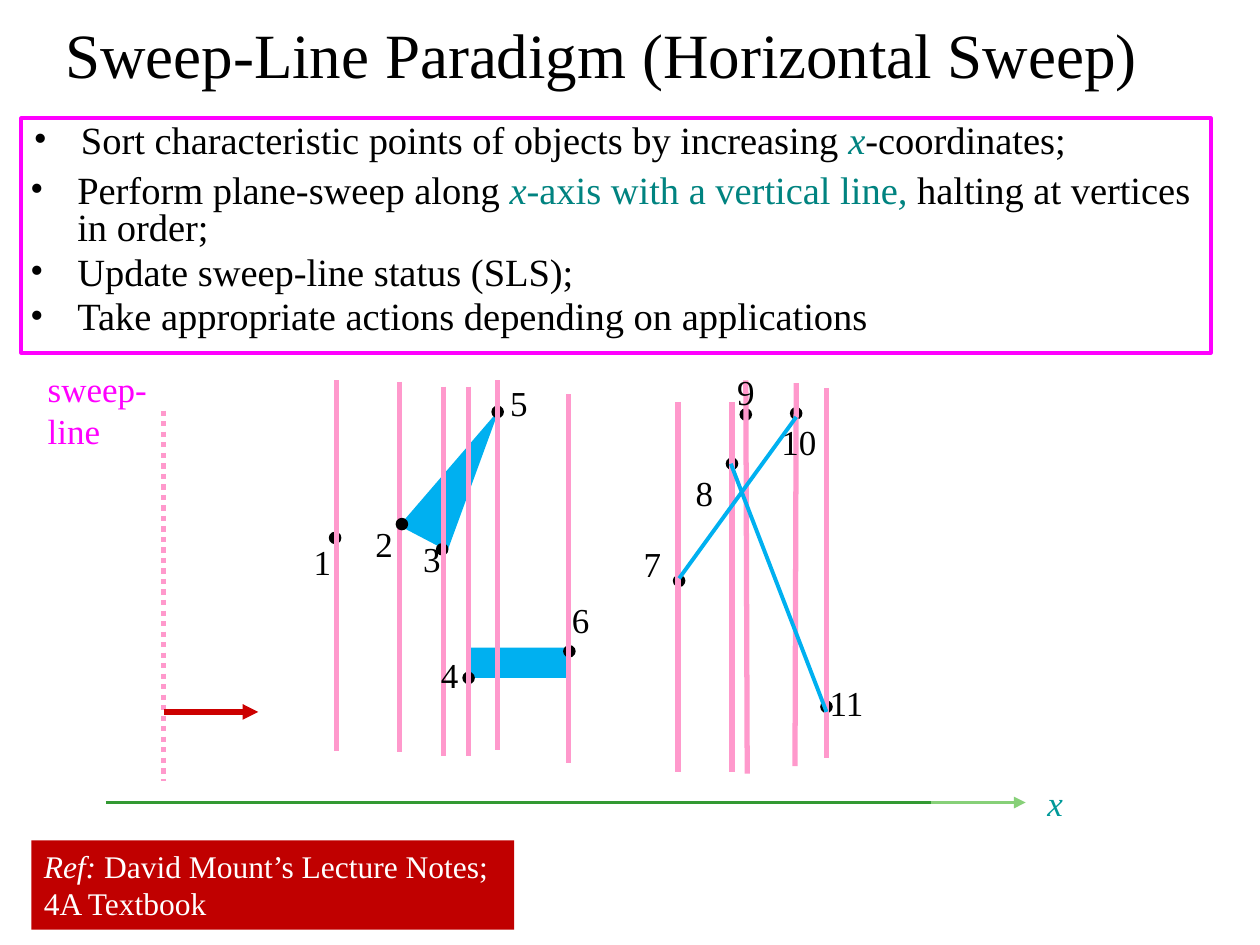
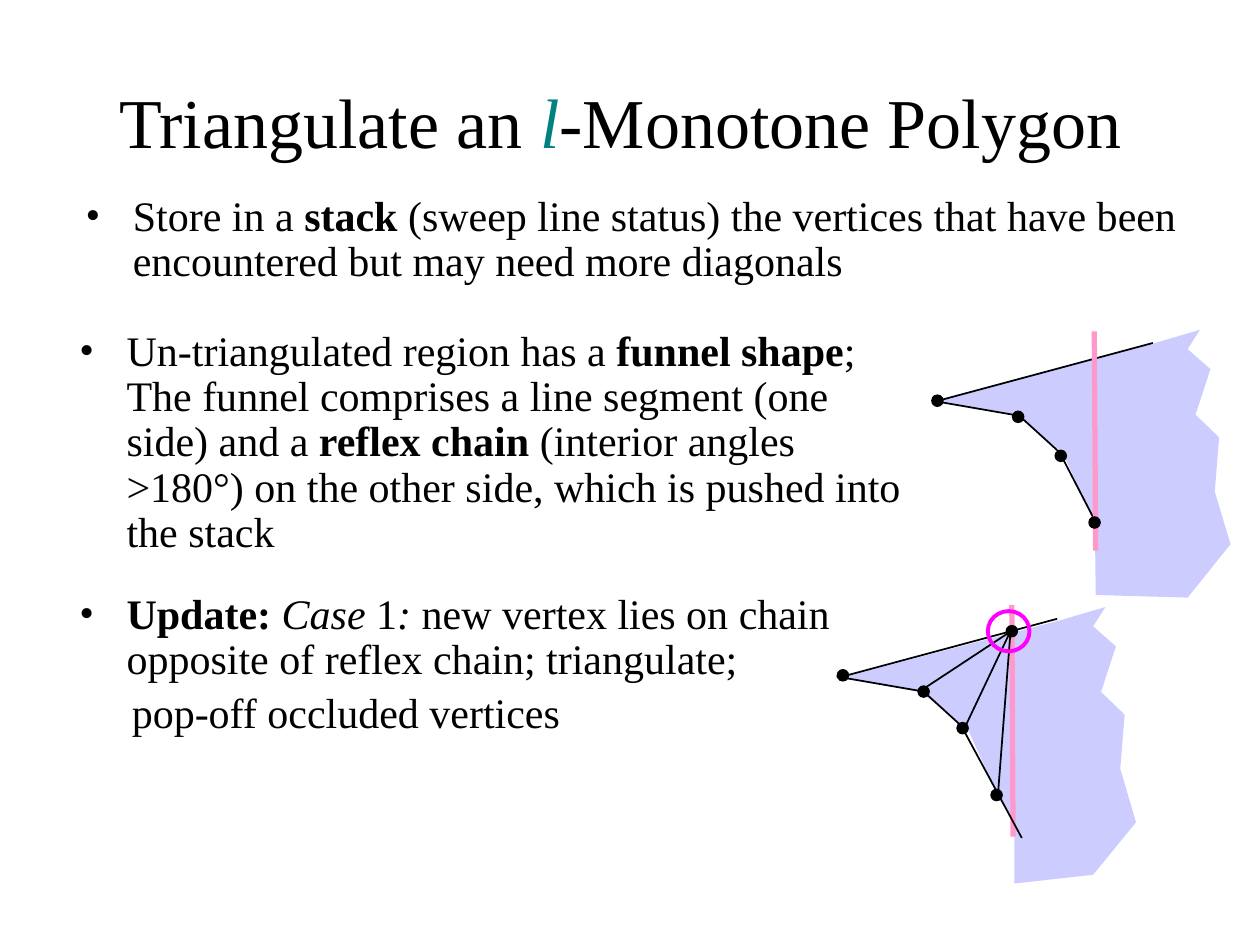
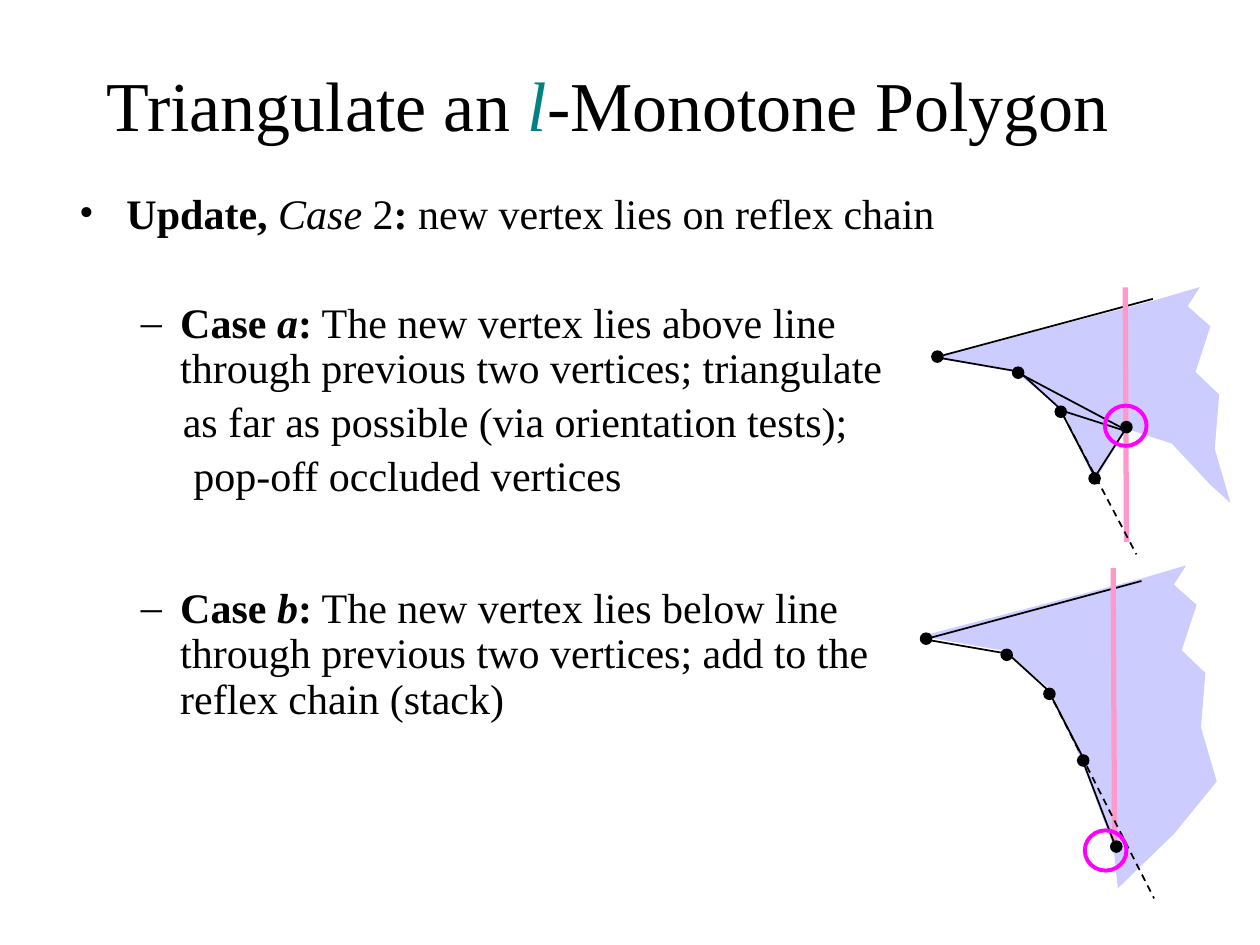
from itertools import pairwise

from lxml.etree import SubElement
from pptx import Presentation
from pptx.dml.color import RGBColor
from pptx.enum.dml import MSO_LINE
from pptx.enum.shapes import MSO_CONNECTOR, MSO_SHAPE
from pptx.enum.text import MSO_ANCHOR, PP_ALIGN
from pptx.oxml.ns import qn
from pptx.util import Pt

FONT = "Times New Roman"
BLACK = "000000"
WHITE = "FFFFFF"
TEAL = "008380"
MAGENTA = "FF00FF"
PINK = "FF99CC"
SKY = "00B0F0"
LAVENDER = "CCCCFF"
DOT = 7.2
SYMBOL = {"italic": True, "color": TEAL}
BOLD = {"bold": True}
ITALIC = {"italic": True}
MONOTONE_TITLE = ["Triangulate an ", ("l", SYMBOL), "-Monotone Polygon"]

CHAIN = [(0, 0), (49.7, 8.6), (72.7, 29.5), (94.3, 71.3)]
VERTICES = [(-0.7, -3.6), (45.4, 5.6), (69.8, 27.9), (89.1, 66)]
LID = [(0.7, 0.7), (126, -33)]
BODY_LEFT = [(0, 0), (46, 8), (73, 29.5), (91.5, 70.5)]
BODY_RIGHT = [(160, 52), (162.5, 21), (149, 8), (157.5, -18),
              (144.5, -29.5), (151.5, -40.5), (126, -33)]


def rgb(color):
    return RGBColor.from_string(color)


def write(paragraph, text, size=24, color=BLACK, bold=False, italic=False):
    run = paragraph.add_run()
    run.text = text
    run.font.name = FONT
    run.font.size = Pt(size)
    run.font.bold = bold
    run.font.italic = italic
    run.font.color.rgb = rgb(color)


def set_indent(paragraph, margin, hanging=0, bullet=None):
    properties = paragraph._p.get_or_add_pPr()
    properties.set("marL", str(Pt(margin)))
    properties.set("indent", str(-Pt(hanging)))
    if bullet:
        bullet_color = SubElement(properties, qn("a:buClr"))
        SubElement(bullet_color, qn("a:srgbClr")).set("val", BLACK)
        SubElement(properties, qn("a:buFont")).set("typeface", FONT)
        SubElement(properties, qn("a:buChar")).set("char", bullet)


def moved(points, origin):
    return [(origin[0] + x, origin[1] + y) for x, y in points]


POINT = {"margin": 27, "hanging": 27, "bullet": "•"}
CASE = {"margin": 58.5, "hanging": 22.5, "bullet": "–"}


class Deck:
    def __init__(self):
        self.presentation = Presentation()
        self.presentation.slide_width = Pt(720)
        self.presentation.slide_height = Pt(540)
        self.shapes = None

    def slide(self):
        layout = self.presentation.slide_layouts[6]
        self.shapes = self.presentation.slides.add_slide(layout).shapes

    def paint(self, shape, fill=None, line=None, weight=2.25):
        shape.shadow.inherit = False
        if fill:
            shape.fill.solid()
            shape.fill.fore_color.rgb = rgb(fill)
        else:
            shape.fill.background()
        if line:
            shape.line.color.rgb = rgb(line)
            shape.line.width = Pt(weight)
        else:
            shape.line.fill.background()
        return shape

    def shape(self, kind, box, **style):
        return self.paint(self.shapes.add_shape(kind, *map(Pt, box)), **style)

    def polygon(self, points, fill):
        start, *rest = [(Pt(x), Pt(y)) for x, y in points]
        builder = self.shapes.build_freeform(*start, scale=1.0)
        builder.add_line_segments(rest, close=True)
        self.paint(builder.convert_to_shape(), fill=fill)

    def line(self, start, end, color=BLACK, weight=1, dash=None, arrow=False):
        connector = self.shapes.add_connector(
            MSO_CONNECTOR.STRAIGHT, *map(Pt, (*start, *end)))
        connector.line.color.rgb = rgb(color)
        connector.line.width = Pt(weight)
        if dash:
            connector.line.dash_style = dash
        if arrow:
            SubElement(connector.line._get_or_add_ln(),
                       qn("a:tailEnd")).set("type", "triangle")
        SubElement(connector._element.spPr, qn("a:effectLst"))

    def sweep(self, start, end, **style):
        self.line(start, end, color=PINK, weight=3, **style)

    def dot(self, corner):
        self.shape(MSO_SHAPE.OVAL, (*corner, DOT, DOT), fill=BLACK)

    def text(self, box, *paragraphs, holder=None, indents=(), spacing=None,
             align=PP_ALIGN.LEFT, anchor=MSO_ANCHOR.TOP, **style):
        frame = (holder or self.shapes.add_textbox(*map(Pt, box))).text_frame
        frame.word_wrap = True
        frame.vertical_anchor = anchor
        for index, runs in enumerate(paragraphs):
            paragraph = frame.add_paragraph() if index else frame.paragraphs[0]
            paragraph.alignment = align
            if spacing:
                paragraph.line_spacing = spacing
            if index:
                paragraph.space_before = Pt(style.get("size", 24) * 0.2)
            if indents:
                set_indent(paragraph, **indents[index])
            for run in runs:
                words, own = (run, {}) if isinstance(run, str) else run
                write(paragraph, words, **{**style, **own})

    def title(self, box, runs, size=40):
        self.text(box, runs, size=size, anchor=MSO_ANCHOR.MIDDLE)

    def label(self, box, words, **style):
        self.text(box, [words], size=20, align=PP_ALIGN.CENTER, **style)

    def funnel(self, body, apex, body_bottom, sweep, new_edges=(),
               chain=CHAIN, vertices=VERTICES, extension=None,
               new_vertex=None, ring=None):
        self.polygon(moved(BODY_LEFT + body_bottom + BODY_RIGHT, body), LAVENDER)
        for edge in [*pairwise(chain), LID]:
            self.line(*moved(edge, apex))
        self.sweep(*sweep)
        for edge in new_edges:
            self.line(*edge)
        if extension:
            self.line(*extension, dash=MSO_LINE.DASH)
        for vertex in moved(vertices, apex):
            self.dot(vertex)
        if new_vertex:
            self.dot(new_vertex)
            self.shape(MSO_SHAPE.OVAL, (*ring, 23.8, 23), line=MAGENTA)


def sweep_line_slide(deck):
    deck.slide()
    deck.shape(MSO_SHAPE.RECTANGLE, (266.4, 370.1, 59.8, 17.3), fill=SKY)
    triangle = deck.shape(MSO_SHAPE.ISOSCELES_TRIANGLE, (246.2, 227.5, 31, 85), fill=SKY)
    triangle.adjustments[0] = 0.634
    triangle.rotation = 27.7
    deck.title((30.2, 6.5, 671, 47.5), ["Sweep-Line Paradigm (Horizontal Sweep)"], size=36)
    steps = {"size": 22, "spacing": 0.8}
    steps_box = (12.2, 67.7, 679.7, 133.9)
    frame = deck.shape(MSO_SHAPE.RECTANGLE, steps_box, line=MAGENTA)
    deck.text(steps_box,
              ["Sort characteristic points of objects by increasing ",
               ("x", SYMBOL), "-coordinates;"],
              holder=frame, indents=[POINT], **steps)
    deck.text((10.1, 96.5, 682.6, 103),
              ["Perform plane-sweep along ", ("x-", SYMBOL),
               ("axis with a vertical line", {"color": TEAL}), (", ", SYMBOL),
               "halting at vertices in order;"],
              ["Update sweep-line status (SLS);"],
              ["Take appropriate actions depending on applications"],
              indents=[POINT] * 3, **steps)

    events = [
        ((187.9, 303.8), (172.1, 305.3), (192.2, 217.4), (192.2, 429)),
        ((226.1, 295.9), (207.4, 295.2), (228.2, 218.2), (228.2, 429.8)),
        ((249.1, 310.3), (234.7, 303.8), (253.4, 221), (253.4, 432)),
        ((264.2, 383.8), (244.8, 370.1), (267.8, 221), (267.8, 432)),
        ((280.8, 231.8), (284.4, 214.6), (284.4, 217.4), (284.4, 428.4)),
        ((321.8, 368.6), (319.7, 338.4), (324.7, 225.4), (324.7, 436.3)),
        ((384.5, 328.3), (360.7, 306.7), (387.4, 229.7), (387.4, 441.4)),
        ((414.7, 261.4), (384.5, 265.7), (418.3, 229.7), (418.3, 441.4)),
        ((422.6, 233.3), (408.2, 208.1), (426.2, 217.4), (427, 442.1)),
        ((451.4, 232.6), (438.5, 236.9), (455, 218.9), (454.3, 437.8)),
        ((468.7, 400.3), (465.8, 385.9), (472.3, 221.8), (472.3, 433.4)),
    ]
    front_vertex = events[1][0]
    for vertex, *_ in events:
        if vertex != front_vertex:
            deck.dot(vertex)
    for number, (_, corner, top, bottom) in enumerate(events, 1):
        deck.sweep(top, bottom)
        deck.label((*corner, 22.3 if number < 8 else 36, 31), str(number))
    deck.line((388.1, 330.5), (455, 238.3), color=SKY, weight=2.25)
    deck.line((472.3, 406.8), (417.6, 265), color=SKY, weight=2.25)
    deck.dot(front_vertex)

    deck.sweep((93.6, 234.7), (93.6, 446.4), dash=MSO_LINE.ROUND_DOT)
    deck.line((93.6, 406.8), (147.6, 406.8), color="CC0000", weight=3, arrow=True)
    deck.text((20.2, 206.6, 100.8, 31.7), ["sweep-line"], size=20, color=MAGENTA)
    deck.line((60.5, 458.6), (553, 458.6), color="339933", weight=2.25)
    deck.line((532.1, 458.6), (586.1, 458.6), color="87D078", weight=2.25, arrow=True)
    deck.label((575.3, 442.8, 55.4, 31), "x", color="009999", italic=True)
    reference_box = (18, 480.2, 275.8, 51.1)
    reference = deck.shape(MSO_SHAPE.RECTANGLE, reference_box, fill="C00000")
    deck.text(reference_box,
              [("Ref: ", ITALIC), "David Mount’s Lecture Notes; 4A Textbook"],
              holder=reference, size=18, color=WHITE)


def opposite_chain_slide(deck):
    deck.slide()
    deck.title((61.2, 23.8, 625.7, 90), MONOTONE_TITLE)
    deck.text((41.8, 108, 645.8, 65.5),
              ["Store in a ", ("stack ", BOLD),
               "(sweep line status) the vertices that have been "
               "encountered but may need more diagonals"],
              indents=[POINT], spacing=0.9)
    deck.text((38.2, 185, 488.9, 144),
              ["Un-triangulated region has a ", ("funnel shape", BOLD),
               "; The funnel comprises a line segment (one side) and a ",
               ("reflex chain", BOLD),
               " (interior angles >180°) on the other side, "
               "which is pushed into the stack"],
              indents=[POINT], spacing=0.9)
    deck.text((38.2, 335.5, 488.9, 99.4),
              [("Update: ", BOLD), ("Case ", ITALIC), "1", (": ", ITALIC),
               "new vertex lies on chain opposite of reflex chain; triangulate;"],
              ["pop-off occluded vertices"],
              indents=[POINT, {"margin": 30}], spacing=0.9)
    deck.funnel(body=(534.2, 229), apex=(532.8, 229),
                body_bottom=[(92, 111), (144.5, 112.5), (169, 82)],
                sweep=[(625.3, 189.4), (626.1, 314.6)])
    deck.funnel(body=(480.2, 387.4), apex=(478.1, 386.6),
                body_bottom=[(99.5, 82), (99.5, 117.5), (144.5, 112.5), (169, 82.5)],
                sweep=[(578.2, 345.6), (578.9, 478.1)],
                new_edges=[[(576.7, 361.4), (526.3, 394.6)],
                           [(576.7, 362.2), (550.8, 416.9)],
                           [(577.4, 361.4), (570.2, 455)],
                           [(550.1, 416.2), (583.9, 478.8)]],
                chain=CHAIN[:3],
                vertices=[(0, -4.3), (46.1, 5), (68.4, 25.9), (87.8, 64.1)],
                new_vertex=(574.6, 357.1), ring=(564.5, 349.2))


def reflex_chain_slide(deck):
    deck.slide()
    deck.title((54, 14.4, 625.7, 90), MONOTONE_TITLE)
    deck.text((38.2, 106.6, 520.6, 46.1),
              [("Update, ", BOLD), ("Case ", ITALIC), "2", (": ", BOLD),
               "new vertex lies on reflex chain"],
              indents=[POINT], spacing=0.9)
    case_a, case_b = [[("Case ", BOLD), (letter, {**BOLD, **ITALIC}), (":", BOLD)]
                      for letter in "ab"]
    deck.text((37.4, 169.2, 488.9, 133.9),
              case_a + [" The new vertex lies above line through "
                        "previous two vertices; triangulate"],
              ["as far as possible (via orientation tests);"],
              ["pop-off occluded vertices"],
              indents=[CASE, {"margin": 60}, {"margin": 66}], spacing=0.9)
    deck.text((37.4, 331.9, 488.9, 99.4),
              case_b + [" The new vertex lies below line through "
                        "previous two vertices; add to the reflex chain (stack)"],
              indents=[CASE], spacing=0.9)
    deck.funnel(body=(534.2, 204.5), apex=(532.8, 203.8),
                body_bottom=[(109.5, 40.5), (135.5, 49), (157, 72), (169, 83)],
                sweep=[(643, 164.2), (643.7, 309.6)],
                new_edges=[[(625, 273.6), (643, 245.5)],
                           [(640.8, 245.5), (604.8, 234)],
                           [(643, 245.5), (583.2, 213.8)]],
                extension=[(607, 236.2), (649.4, 316.8)],
                new_vertex=(640.1, 240.5), ring=(631.4, 231.8))
    deck.funnel(body=(526.3, 363.6), apex=(526.3, 365),
                body_bottom=[(110, 120), (112.5, 144), (144.5, 113), (169, 83)],
                sweep=[(636.1, 324.7), (636.9, 481.7)],
                new_edges=[[(618.5, 434.2), (637.2, 483.1)]],
                extension=[(599, 394.6), (659.5, 513.4)],
                new_vertex=(634.3, 480.2), ring=(619.9, 474.5))


def main():
    deck = Deck()
    sweep_line_slide(deck)
    opposite_chain_slide(deck)
    reflex_chain_slide(deck)
    deck.presentation.save("out.pptx")


if __name__ == "__main__":
    main()
